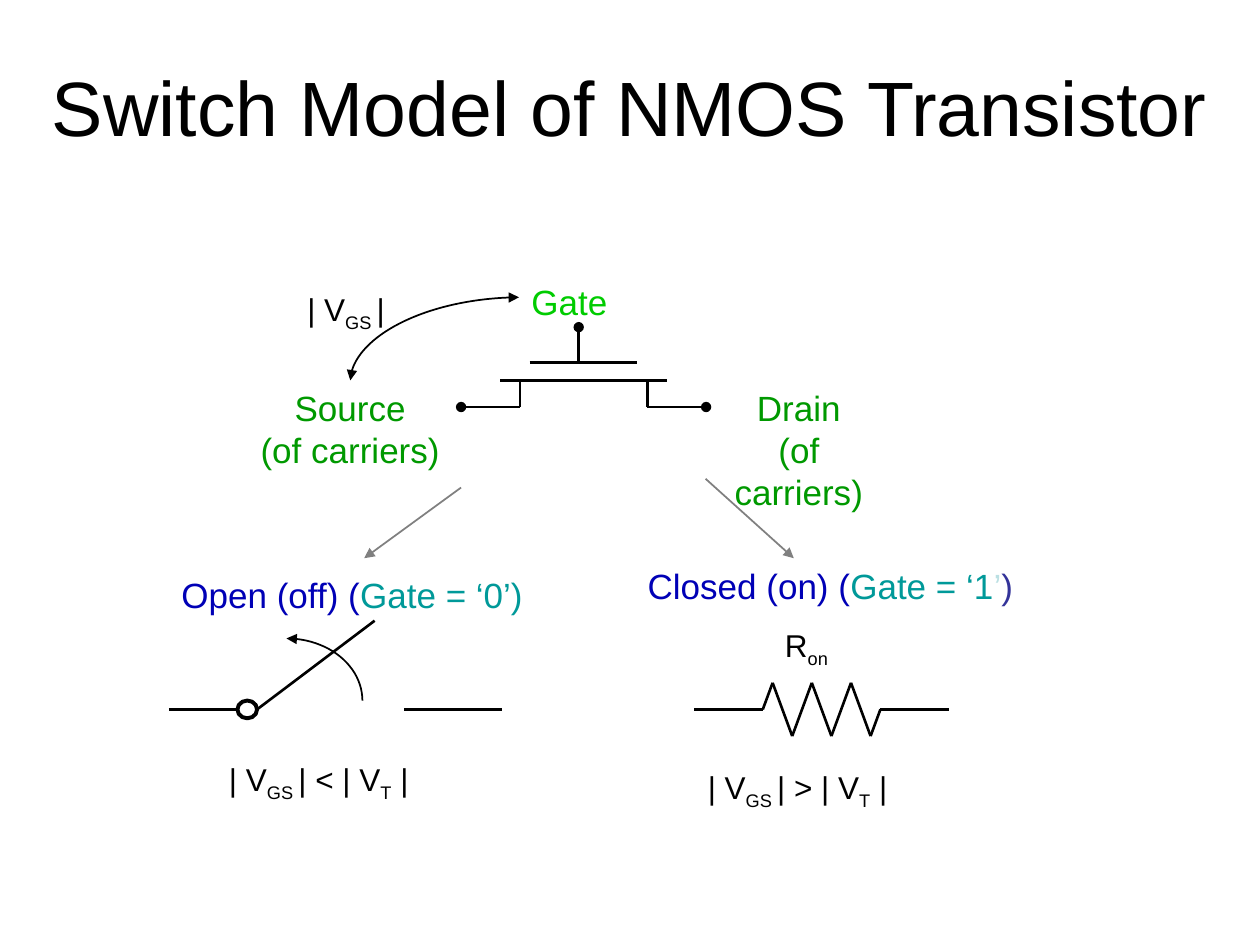
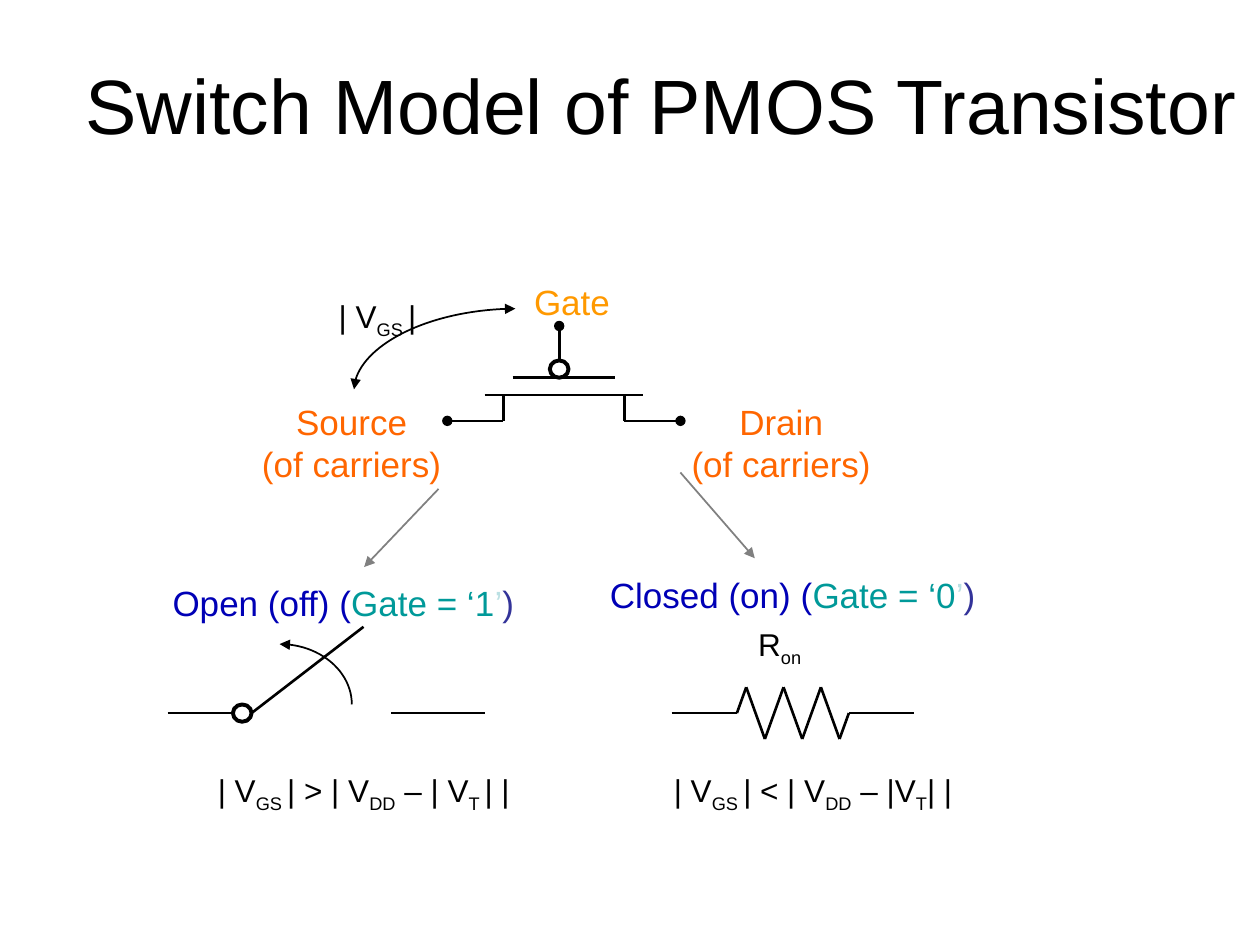
from dataclasses import dataclass
from math import cos, pi, sin

from lxml import etree
from pptx import Presentation
from pptx.dml.color import RGBColor
from pptx.enum.shapes import MSO_CONNECTOR, MSO_SHAPE
from pptx.enum.text import MSO_ANCHOR, PP_ALIGN
from pptx.oxml.ns import qn
from pptx.util import Pt

STRAIGHT, CURVE = MSO_CONNECTOR.STRAIGHT, MSO_CONNECTOR.CURVE
ELLIPSE = MSO_SHAPE.OVAL
LEFT, CENTER = PP_ALIGN.LEFT, PP_ALIGN.CENTER
TOP, MIDDLE = MSO_ANCHOR.TOP, MSO_ANCHOR.MIDDLE


@dataclass(frozen=True)
class Theme:
    font: str = "Arial"
    black: str = "000000"
    grey: str = "808080"
    blue: str = "0000B6"
    teal: str = "009999"
    pale: str = "BBE0E3"
    indigo: str = "333399"
    title_size: float = 44
    label_size: float = 20
    formula_size: float = 18
    thin: float = 1
    wire: float = 1.5
    ring: float = 2.25


THEME = Theme()
TITLE = {"size": THEME.title_size, "align": CENTER, "anchor": MIDDLE, "wrap": True}
GATE = {"size": THEME.label_size, "align": LEFT, "anchor": TOP, "wrap": False}
LABEL = {**GATE, "align": CENTER}
WRAPPED = {**LABEL, "wrap": True}
FORMULA = {**WRAPPED, "size": THEME.formula_size, "align": LEFT}

FADED_END = [("’", THEME.pale), (")", THEME.indigo)]

SLIDES = [
    {
        "title": ("Switch Model of NMOS Transistor", (0, 25.9, 720, 69.1)),
        "unit": (5.6, 5.07),
        "gate_color": "00CC00",
        "end_color": "009900",
        "gate": (296.6, 157, 57.6, 31.7),
        "source": (141.8, 217.4, 116.6, 55.4),
        "drain": (402.5, 217.4, 108, 79.2),
        "drain_style": WRAPPED,
        "formulas": [
            ("| V~GS ~|", (168.5, 162, 78.5, 31.7)),
            ("| V~GS ~| < | V~T~ |", (123.8, 430.6, 205.9, 31.7)),
            ("| V~GS ~| > | V~T~ |", (397.4, 435.6, 205.9, 31.7)),
            ("R~on", (441.4, 354.2, 49.7, 31.7)),
        ],
        "states": [
            ([("Open (off) (", THEME.blue), ("Gate = ‘0’)", THEME.teal)],
             (96.5, 324, 209.5, 31.7)),
            ([("Closed (on) (", THEME.blue), ("Gate = ‘1", THEME.teal)] + FADED_END,
             (362.9, 319, 223.2, 31.7)),
        ],
        "state_arrows": [((403.2, 273.6), (453.6, 319)), ((263.5, 278.6), (208.1, 319))],
        "voltage_arrow": ((296.6, 169.9), (200.2, 217.4)),
        "transistor": (263.5, 232.6),
        "switch": (96.5, 405.4),
        "resistor": (396.7, 405.4),
        "inverting": False,
    },
    {
        "title": ("Switch Model of PMOS Transistor", (36, 25.9, 684, 67)),
        "unit": (5.33, 4.93),
        "gate_color": "FF9900",
        "end_color": "FF6600",
        "gate": (298.1, 157, 57.6, 31.7),
        "source": (142.6, 225.4, 116.6, 55.4),
        "drain": (388.1, 225.4, 116.6, 55.4),
        "drain_style": LABEL,
        "formulas": [
            ("| V~GS ~|", (186.5, 166.3, 74.9, 31.7)),
            ("| V~GS ~| > | V~DD~ – | V~T ~| |", (117.4, 437, 197.3, 31.7)),
            ("| V~GS ~| < | V~DD~ – |V~T~| |", (378, 437, 197.3, 31.7)),
            ("R~on", (426.2, 353.5, 48.2, 31.7)),
        ],
        "states": [
            ([("Open (off) (", THEME.blue), ("Gate = ‘1", THEME.teal)] + FADED_END,
             (91.4, 329, 209.5, 31.7)),
            ([("Closed (on) (", THEME.blue), ("Gate = ‘0", THEME.teal)] + FADED_END,
             (341.3, 324, 223.2, 31.7)),
        ],
        "state_arrows": [((388.8, 270), (431.3, 319)), ((250.6, 279.4), (208.1, 324))],
        "voltage_arrow": ((294.5, 176.4), (202.3, 222.5)),
        "transistor": (255.6, 240.5),
        "switch": (95.8, 407.5),
        "resistor": (383.8, 407.5),
        "inverting": True,
    },
]

TRANSISTOR_WIRES = [
    ((4, -3), (21, -3), {}),
    ((7, -5), (18, -5), {}),
    ((6, -3), (6, 0), {}),
    ((19, -3), (19, 0), {}),
    ((0, 0), (6, 0), {"head": "oval"}),
    ((19, 0), (25, 0), {"tail": "oval"}),
]
GATE_X, PLATE_Y, STEM = 12, -5, 4
SWITCH_WIRES = [((0, 0), (7, 0), {}), ((9, 0), (21, -10), {}), ((24, 0), (34, 0), {})]
SWITCH_RING = (7, -1)
ARC_CENTER, ARC_RADII, ARC_STEPS = (12, -1), (7.75, 7), 24
LEAD, ZIGZAG_PEAKS, PEAK = 7, 6, 3


def points(*lengths):
    return [Pt(length) for length in lengths]


def rgb(color):
    return RGBColor.from_string(color)


def add_text(page, place, paragraphs, style):
    box = page.shapes.add_textbox(*points(*place))
    frame = box.text_frame
    for name, value in {"word_wrap": style["wrap"], "vertical_anchor": style["anchor"]}.items():
        setattr(frame, name, value)
    for index, runs in enumerate(paragraphs):
        para = frame.add_paragraph() if index else frame.paragraphs[0]
        para.alignment = style["align"]
        for text, color, *baseline in runs:
            span = para.add_run()
            span.text = text
            for name, value in {"name": THEME.font, "size": Pt(style["size"])}.items():
                setattr(span.font, name, value)
            span.font.color.rgb = rgb(color)
            if baseline:
                span.font._element.set("baseline", baseline[0])


def formula_runs(text):
    pieces = text.split("~")
    return [(piece, THEME.black, "-25000") if index % 2 else (piece, THEME.black)
            for index, piece in enumerate(pieces)]


def style_line(line, color, width, head=None, tail=None):
    line.color.rgb = rgb(color)
    line.width = Pt(width)
    for tag, kind in (("a:headEnd", head), ("a:tailEnd", tail)):
        if kind:
            etree.SubElement(line._get_or_add_ln(), qn(tag), type=kind)


def add_line(page, start, end, color=THEME.black, width=THEME.wire, kind=STRAIGHT, **ends):
    line = page.shapes.add_connector(kind, *points(*start, *end))
    style_line(line.line, color, width, **ends)
    properties = line._element.spPr
    etree.SubElement(properties, qn("a:effectLst"))
    if kind == CURVE:
        properties.find(qn("a:prstGeom")).set("prst", "curvedConnector2")


def placer(origin, unit):
    return lambda spot: tuple(o + u * s for o, u, s in zip(origin, unit, spot))


def add_wires(page, place, wires):
    for start, end, ends in wires:
        add_line(page, place(start), place(end), **ends)


def add_ring(page, place, corner, unit):
    ring = page.shapes.add_shape(ELLIPSE, *points(*place(corner), 2 * unit[0], 2 * unit[1]))
    ring.shadow.inherit = False
    ring.fill.background()
    style_line(ring.line, THEME.black, THEME.ring)


def draw_transistor(page, origin, unit, inverting):
    place = placer(origin, unit)
    stem_end = PLATE_Y - 2 if inverting else PLATE_Y
    if inverting:
        add_ring(page, place, (GATE_X - 1, stem_end), unit)
    stem = ((GATE_X, stem_end - STEM), (GATE_X, stem_end), {"head": "oval"})
    add_wires(page, place, TRANSISTOR_WIRES + [stem])


def draw_switch(page, origin, unit):
    place = placer(origin, unit)
    add_wires(page, place, SWITCH_WIRES)
    add_ring(page, place, SWITCH_RING, unit)
    angles = [pi / 2 * step / ARC_STEPS for step in range(ARC_STEPS + 1)]
    sweep = [points(*place((ARC_CENTER[0] + ARC_RADII[0] * cos(angle),
                            ARC_CENTER[1] - ARC_RADII[1] * sin(angle)))) for angle in angles]
    builder = page.shapes.build_freeform(*sweep[0])
    builder.add_line_segments(sweep[1:], close=False)
    arc = builder.convert_to_shape()
    arc.shadow.inherit = False
    arc.fill.background()
    style_line(arc.line, THEME.black, THEME.thin, tail="triangle")


def draw_resistor(page, origin, unit):
    peaks = [(LEAD + 1 + 2 * index, PEAK if index % 2 else -PEAK)
             for index in range(ZIGZAG_PEAKS)]
    finish = LEAD + 2 * ZIGZAG_PEAKS
    spots = [(0, 0), (LEAD, 0), *peaks, (finish, 0), (finish + LEAD, 0)]
    add_wires(page, placer(origin, unit),
              [(start, end, {}) for start, end in zip(spots, spots[1:])])


def draw_slide(page, content):
    title, place = content["title"]
    add_text(page, place, [[(title, THEME.black)]], TITLE)
    add_text(page, content["gate"], [[("Gate", content["gate_color"])]], GATE)
    for name, style in (("source", LABEL), ("drain", content["drain_style"])):
        lines = (name.capitalize(), "(of carriers)")
        add_text(page, content[name], [[(line, content["end_color"])] for line in lines], style)
    for start, end in content["state_arrows"]:
        add_line(page, start, end, THEME.grey, THEME.thin, tail="triangle")
    for text, place in content["formulas"]:
        add_text(page, place, [formula_runs(text)], FORMULA)
    for runs, place in content["states"]:
        add_text(page, place, [runs], LABEL)
    add_line(page, *content["voltage_arrow"], width=THEME.thin, kind=CURVE,
             head="triangle", tail="triangle")
    unit = content["unit"]
    draw_transistor(page, content["transistor"], unit, content["inverting"])
    draw_switch(page, content["switch"], unit)
    draw_resistor(page, content["resistor"], unit)


def main():
    deck = Presentation()
    deck.slide_width, deck.slide_height = points(720, 540)
    for content in SLIDES:
        draw_slide(deck.slides.add_slide(deck.slide_layouts[6]), content)
    deck.save("out.pptx")


if __name__ == "__main__":
    main()
